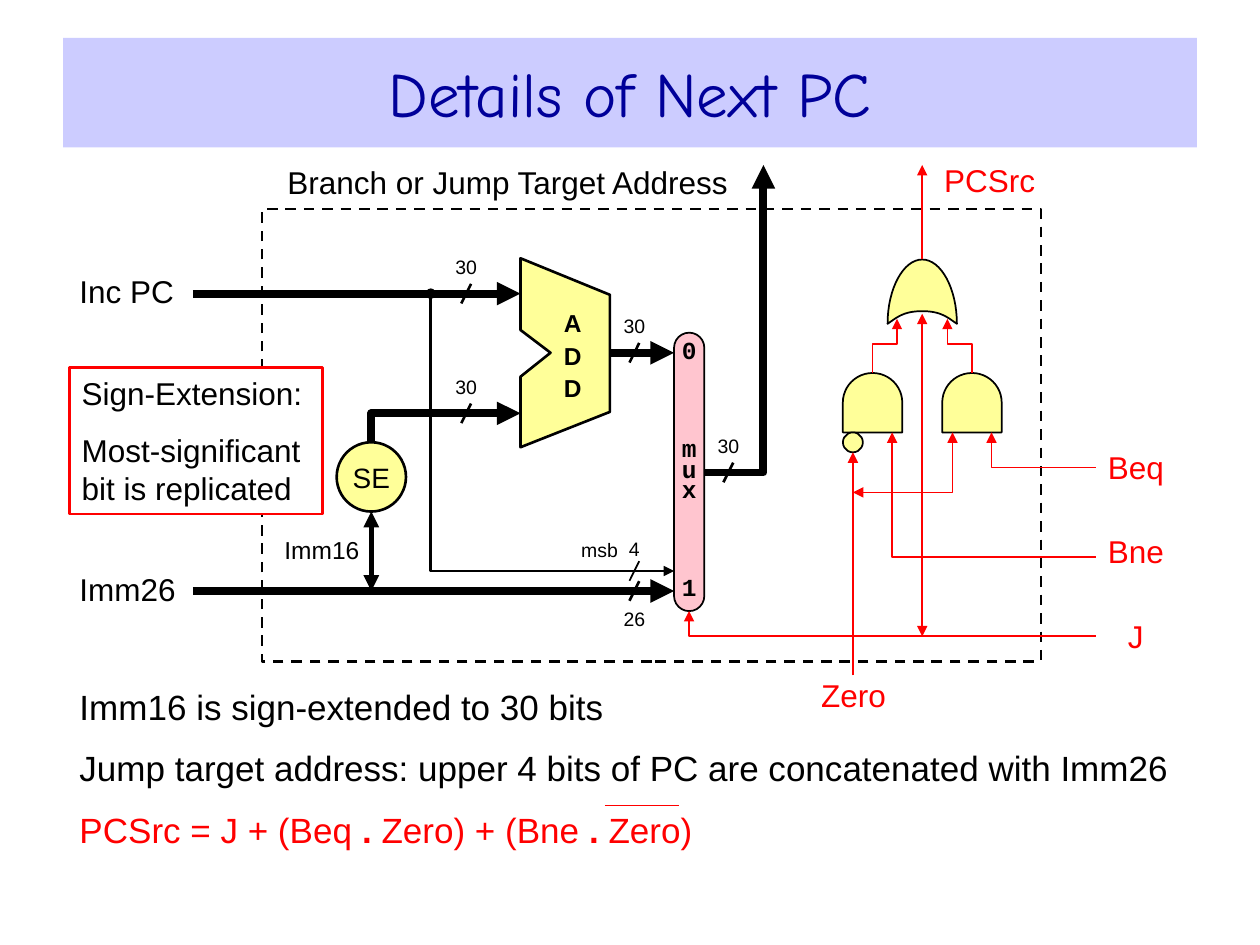
from lxml.etree import SubElement
from pptx import Presentation
from pptx.dml.color import RGBColor
from pptx.enum.dml import MSO_LINE
from pptx.enum.shapes import MSO_CONNECTOR, MSO_SHAPE
from pptx.enum.text import MSO_ANCHOR, PP_ALIGN
from pptx.oxml.ns import qn
from pptx.util import Pt

COLORS = {
    "black": "000000", "red": "FF0000", "white": "FFFFFF", "navy": "000099",
    "lavender": "CCCCFF", "yellow": "FFFF99", "pink": "FFC5CF",
}
LEFT, CENTER = PP_ALIGN.LEFT, PP_ALIGN.CENTER
GATE_TOP, GATE_SIZE = 213.1, 34
GATE_BOTTOM = GATE_TOP + GATE_SIZE
OR_X, BUS_END = 527, 626.4
PC_Y, SUM_Y, OFFSET_Y, MSB_Y, IMM_Y = 167.8, 201.6, 236.2, 326.3, 337.7
ADD_LEFT, ADD_RIGHT, MUX_LEFT, MUX_RIGHT = 297.4, 348.5, 385.2, 402.5


def rgb(name):
    return RGBColor.from_string(COLORS[name])


def format_line(shape, color, width, head=None, tail=None):
    shape.line.color.rgb = rgb(color)
    shape.line.width = Pt(width)
    line = shape.line._get_or_add_ln()
    for tag, kind in (("a:headEnd", head), ("a:tailEnd", tail)):
        if kind:
            SubElement(line, qn(tag), type=kind)


def format_fill(shape, color):
    if color:
        shape.fill.solid()
        shape.fill.fore_color.rgb = rgb(color)
    else:
        shape.fill.background()


def format_text(shape, text, size, color="black", align=CENTER, font="Arial",
                bold=False, inset=0, anchor=MSO_ANCHOR.MIDDLE, spacing=None):
    frame = shape.text_frame
    frame.text = text
    frame.word_wrap = True
    frame.vertical_anchor = anchor
    frame.margin_left = frame.margin_right = Pt(inset)
    frame.margin_top = frame.margin_bottom = Pt(inset / 2)
    for paragraph in frame.paragraphs:
        paragraph.alignment = align
        paragraph.line_spacing = spacing
        for run in paragraph.runs:
            run.font.name = font
            run.font.size = Pt(size)
            run.font.bold = bold
            run.font.color.rgb = rgb(color)
    return frame


def add_label(slide, text, left, top, width, height, size=18, **style):
    box = slide.shapes.add_textbox(Pt(left), Pt(top), Pt(width), Pt(height))
    return format_text(box, text, size, **style)


def add_block(slide, kind, left, top, width, height, fill=None, color="black", weight=1):
    shape = slide.shapes.add_shape(kind, Pt(left), Pt(top), Pt(width), Pt(height))
    shape.shadow.inherit = False
    format_fill(shape, fill)
    format_line(shape, color, weight)
    return shape


def add_line(slide, start, end, color="black", weight=1, head=None, tail=None):
    x1, y1, x2, y2 = map(Pt, start + end)
    connector = slide.shapes.add_connector(MSO_CONNECTOR.STRAIGHT, x1, y1, x2, y2)
    format_line(connector, color, weight, head, tail)
    SubElement(connector._element.spPr, qn("a:effectLst"))
    return connector


def add_path(slide, points, color="black", weight=1, fill=None, head=None, tail=None):
    (x, y), *rest = [(Pt(px), Pt(py)) for px, py in points]
    builder = slide.shapes.build_freeform(x, y)
    builder.add_line_segments(rest, close=bool(fill))
    shape = builder.convert_to_shape()
    shape.shadow.inherit = False
    format_fill(shape, fill)
    format_line(shape, color, weight, head, tail)


def curve(start, control1, control2, end, steps=16):
    def blend(a, b, c, d, t):
        u = 1 - t
        return u**3 * a + 3 * u**2 * t * b + 3 * u * t**2 * c + t**3 * d

    return [tuple(blend(*axis, step / steps) for axis in zip(start, control1, control2, end))
            for step in range(steps)]


def add_bus_width(slide, text, x, y, label_offset=-22.4, weight=1.5):
    add_line(slide, (x + 2.8, y - 5.6), (x - 2.8, y + 5.6), weight=weight)
    add_label(slide, text, x - 11.5, y + label_offset, 23, 14.4, size=11.1)


def add_title(slide):
    title = slide.shapes.title
    title.left, title.top, title.width, title.height = Pt(36), Pt(21.6), Pt(648), Pt(62.6)
    format_fill(title, "lavender")
    format_text(title, "Details of Next PC", 36, "navy", font="Comic Neue", inset=7.2)


def add_datapath(slide):
    add_path(slide, [(MUX_RIGHT, 270), (436.3, 270), (436.3, 94.3)], weight=4.5, tail="triangle")
    add_path(slide, [(ADD_LEFT, 255.6), (ADD_RIGHT, 235.4), (ADD_RIGHT, 168.5),
                     (ADD_LEFT, 147.6), (ADD_LEFT, 188.6), (314.6, 201.6),
                     (ADD_LEFT, 215.3)], weight=1.5, fill="yellow")
    add_label(slide, "A\nD\nD", 306, 168.5, 42.5, 67.7, size=14, bold=True, spacing=1.1)
    boundary = add_block(slide, MSO_SHAPE.RECTANGLE, 149.8, 119.5, 445, 258.5, weight=1.5)
    boundary.line.dash_style = MSO_LINE.DASH

    for start, end in (((110.2, IMM_Y), (MUX_LEFT, IMM_Y)),
                       ((110.2, PC_Y), (ADD_LEFT, PC_Y)),
                       ((ADD_RIGHT, SUM_Y), (MUX_LEFT, SUM_Y))):
        add_line(slide, start, end, weight=4.5, tail="triangle")
    add_path(slide, [(212.2, 252.7), (212.2, OFFSET_Y), (ADD_LEFT, OFFSET_Y)],
             weight=4.5, tail="triangle")
    add_path(slide, [(246.2, PC_Y), (246.2, MSB_Y), (MUX_LEFT, MSB_Y)],
             weight=1.5, head="oval", tail="triangle")

    mux = add_block(slide, MSO_SHAPE.ROUNDED_RECTANGLE, MUX_LEFT, 190.1,
                    MUX_RIGHT - MUX_LEFT, 159.1, "pink")
    mux.adjustments[0] = 0.5
    frame = format_text(mux, "0\nm\nu\nx\n1", 14, font="Courier New", bold=True, spacing=0.7)
    for index in (1, 4):
        frame.paragraphs[index].space_before = Pt(44.4)

    extender = add_block(slide, MSO_SHAPE.ROUNDED_RECTANGLE, 192.4, 252.7, 39.6, 39.6,
                         "yellow", weight=1.5)
    extender.adjustments[0] = 0.5
    format_text(extender, "SE", 16)
    immediate = add_line(slide, (212.2, IMM_Y), (212.2, 292.3), weight=3,
                         head="triangle", tail="triangle")
    immediate.end_connect(extender, 2)

    for x, y in ((266.4, PC_Y), (362.5, SUM_Y), (266.4, OFFSET_Y), (416.2, 270)):
        add_bus_width(slide, "30", x, y)
    add_bus_width(slide, "4", 362.5, MSB_Y, -19.8, weight=1)
    add_bus_width(slide, "26", 362.5, IMM_Y, 8.6)
    add_label(slide, "msb", 328.3, 306.7, 28.8, 14.4, size=11.1)
    add_label(slide, "Imm16", 158.4, 303.8, 51.1, 20.2, size=14)
    add_label(slide, "Inc PC", 45.4, 153.4, 57, 25.2, align=LEFT)
    add_label(slide, "Imm26", 45.4, 324, 60, 25.2, align=LEFT)
    add_label(slide, "Branch or Jump Target Address", 164.2, 91.4, 263.5, 25.2, align=LEFT)


def add_control_logic(slide):
    add_line(slide, (OR_X, 363.6), (OR_X, 179.3), "red", head="triangle", tail="triangle")
    for side in (-1, 1):
        gate_x, input_x = OR_X + side * 28.4, OR_X + side * 14.4
        gate = add_block(slide, MSO_SHAPE.FLOWCHART_DELAY, gate_x - GATE_SIZE / 2, GATE_TOP,
                         GATE_SIZE, GATE_SIZE, "yellow")
        gate.rotation = 270
        add_path(slide, [(gate_x, GATE_TOP), (gate_x, 196.6), (input_x, 196.6),
                         (input_x, 182.2)], "red", tail="triangle")
    right, left, base, dip, peak = OR_X + 19.8, OR_X - 19.8, 185, 177.8, 148.3
    outline = (curve((right, base), (541.4, 181.4), (537.8, dip), (OR_X, dip))
               + curve((OR_X, dip), (516.2, dip), (512.6, 181.4), (left, base))
               + curve((left, base), (left, 164.9), (516.2, peak), (OR_X, peak))
               + curve((OR_X, peak), (537.8, peak), (right, 164.9), (right, base)))
    add_path(slide, outline, fill="yellow")
    add_block(slide, MSO_SHAPE.OVAL, 481.7, GATE_BOTTOM, 11.4, 11.4, "yellow")

    for x, top, y in ((393.8, 349.2, 363.6), (509.8, GATE_BOTTOM, 318.2),
                      (566.6, GATE_BOTTOM, 267.2)):
        add_path(slide, [(x, top), (x, y), (BUS_END, y)], "red", head="triangle")
    add_path(slide, [(544.3, GATE_BOTTOM), (544.3, 281.4), (487.4, 281.4)], "red",
             head="triangle", tail="triangle")
    add_line(slide, (487.4, 385.9), (487.4, 258.5), "red", tail="triangle")
    add_line(slide, (OR_X, peak), (OR_X, 94.3), "red", tail="triangle")

    for index, text in enumerate(("Beq", "Bne", "J")):
        add_label(slide, text, 623.5, 255.6 + index * 48.25, 51.1, 22.3, color="red")
    add_label(slide, "Zero", 462.2, 385.9, 51.1, 22.3, color="red")
    add_label(slide, "PCSrc", 532.8, 91.4, 65.5, 22.3, color="red")


def add_notes_text(slide):
    lines = ("Imm16 is sign-extended to 30 bits",
             "Jump target address: upper 4 bits of PC are concatenated with Imm26")
    frame = add_label(slide, "\n".join(lines), 45.4, 388.1, 638, 103, size=20,
                      align=LEFT, anchor=MSO_ANCHOR.TOP)
    frame.margin_top = Pt(3.6)
    equation = frame.add_paragraph()
    for index, text in enumerate(("PCSrc = J + (Beq ", ". ", "Zero) + (Bne ", ". ", "Zero)")):
        run = equation.add_run()
        run.text = text
        run.font.name, run.font.size, run.font.bold = "Arial", Pt(20), index % 2 == 1
        run.font.color.rgb = rgb("red")
    for paragraph in frame.paragraphs[1:]:
        paragraph.space_before = Pt(11.2)
    add_line(slide, (345.6, 460.1), (388.1, 460.1), "red", 0.75)

    callout = add_block(slide, MSO_SHAPE.RECTANGLE, 39.6, 210.2, 144.7, 83.5,
                        "white", "red", 1.5)
    frame = format_text(callout, "Sign-Extension:\nMost-significant bit is replicated", 18,
                        align=LEFT, inset=7.2, anchor=MSO_ANCHOR.TOP)
    frame.paragraphs[1].space_before = Pt(11.2)


def main():
    presentation = Presentation()
    presentation.slide_width, presentation.slide_height = Pt(720), Pt(540)
    slide = presentation.slides.add_slide(presentation.slide_layouts[5])
    add_title(slide)
    add_datapath(slide)
    add_control_logic(slide)
    add_notes_text(slide)
    presentation.save("out.pptx")


if __name__ == "__main__":
    main()
